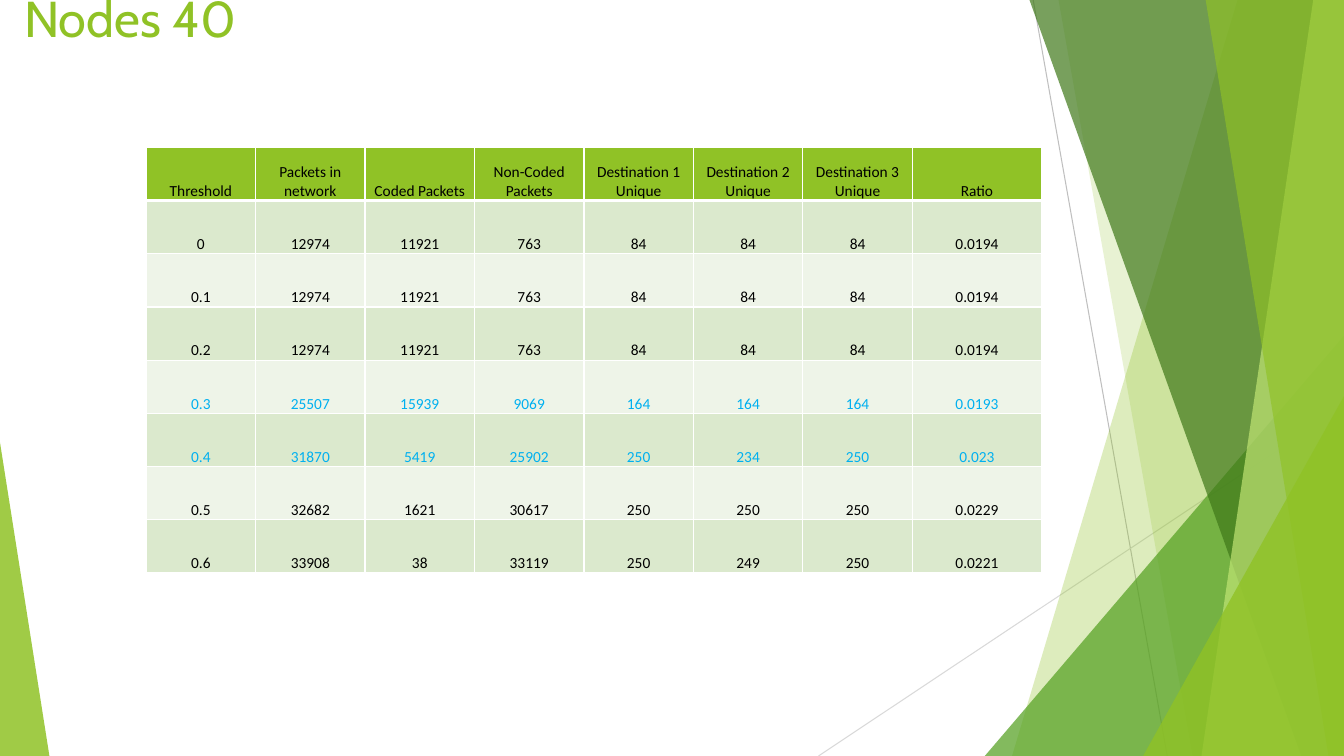
import pptx
import pptx.util
import pptx.dml.color
import pptx.enum.shapes
import pptx.enum.text
import pptx.oxml
import pptx.oxml.ns
import lxml.etree
from dataclasses import dataclass

Pt = pptx.util.Pt
qn = pptx.oxml.ns.qn

TITLE = "Nodes 40"
HEADERS = ["Threshold", "Packets in network", "Coded Packets", "Non-Coded Packets",
           "Destination 1 Unique", "Destination 2 Unique", "Destination 3 Unique", "Ratio"]
ROWS = [
    ["0", "12974", "11921", "763", "84", "84", "84", "0.0194"],
    ["0.1", "12974", "11921", "763", "84", "84", "84", "0.0194"],
    ["0.2", "12974", "11921", "763", "84", "84", "84", "0.0194"],
    ["0.3", "25507", "15939", "9069", "164", "164", "164", "0.0193"],
    ["0.4", "31870", "5419", "25902", "250", "234", "250", "0.023"],
    ["0.5", "32682", "1621", "30617", "250", "250", "250", "0.0229"],
    ["0.6", "33908", "38", "33119", "250", "249", "250", "0.0221"],
]
HIGHLIGHTED = {"0.3", "0.4"}


@dataclass(frozen=True)
class Theme:
    green: str = "90C226"
    mid_green: str = "54A021"
    dark_green: str = "3F7819"
    pale_green: str = "C0E474"
    band_dark: str = "DBE9CD"
    band_light: str = "EEF4E8"
    text: str = "000000"
    highlight: str = "00B0F0"
    white: str = "FFFFFF"
    line_dark: str = "BFBFBF"
    line_light: str = "D9D9D9"
    title_font: str = "Cabin"
    body_font: str = "Calibri"
    title_size: float = 36
    body_size: float = 11


T = Theme()
W, H = 960, 540
BLEED = -0.72

LINES = [(738, 0, 833.76, H, T.line_dark), (W, 290.16, 584.64, H, T.line_light)]
BACK_BANDS = [(884.16, 722.88, T.green, 30), (756, 851.76, T.green, 20)]
FRONT_BANDS = [(735.12, 929.52, T.dark_green, 70), (938.16, 858.24, T.pale_green, 70),
               (861.12, 948.96, T.green, 65)]
BACK_TRIANGLE = (703.44, 239.76, 256.56, 1, T.mid_green, 72)
FRONT_TRIANGLES = [(816.48, 282.96, 143.52, 1, T.green, 80),
                   (0, 316.08, 35.28, 0, T.green, 85)]
TABLE_LEFT, TABLE_TOP, COL_W, LAST_COL_W, ROW_H = 104.4, 105.3, 78.2, 92.4, 38


def rgb(color):
    return pptx.dml.color.RGBColor.from_string(color)


def write(tf, text, *, font, size, color, align=pptx.enum.text.PP_ALIGN.LEFT):
    p = tf.paragraphs[0]
    p.alignment = align
    r = p.add_run()
    r.text = text
    r.font.name = font
    r.font.size = Pt(size)
    r.font.color.rgb = rgb(color)


def paint(sp, color, opacity):
    sp.shadow.inherit = False
    sp.line.fill.background()
    sp.fill.solid()
    sp.fill.fore_color.rgb = rgb(color)
    clr = sp.fill._xPr.find(qn("a:solidFill"))[0]
    lxml.etree.SubElement(clr, qn("a:alpha"), val=str(opacity * 1000))


def add_line(s, x1, y1, x2, y2, color):
    line = s.shapes.add_connector(pptx.enum.shapes.MSO_CONNECTOR.STRAIGHT,
                                  Pt(x1), Pt(y1), Pt(x2), Pt(y2))
    line.line.color.rgb = rgb(color)
    line.line.width = Pt(0.75)
    lxml.etree.SubElement(line._element.spPr, qn("a:effectLst"))


def add_band(s, top_x, bottom_x, color, opacity):
    corners = [(W, BLEED), (W, H), (bottom_x, H)]
    fb = s.shapes.build_freeform(Pt(top_x), Pt(BLEED))
    fb.add_line_segments([(Pt(x), Pt(y)) for x, y in corners], close=True)
    paint(fb.convert_to_shape(), color, opacity)


def add_triangle(s, left, top, width, apex, color, opacity):
    sp = s.shapes.add_shape(pptx.enum.shapes.MSO_SHAPE.ISOSCELES_TRIANGLE,
                            Pt(left), Pt(top), Pt(width), Pt(H - top))
    sp.adjustments[0] = apex
    paint(sp, color, opacity)


def add_borders(cell, bottom_width):
    tcPr = cell._tc.get_or_add_tcPr()
    for side, width in (("L", 1), ("R", 1), ("T", 1), ("B", bottom_width)):
        ln = lxml.etree.SubElement(tcPr, qn(f"a:ln{side}"), w=str(Pt(width)))
        fill = lxml.etree.SubElement(ln, qn("a:solidFill"))
        lxml.etree.SubElement(fill, qn("a:srgbClr"), val=T.white)


def add_decoration(s):
    for line in LINES:
        add_line(s, *line)
    for band in BACK_BANDS:
        add_band(s, *band)
    add_triangle(s, *BACK_TRIANGLE)
    for band in FRONT_BANDS:
        add_band(s, *band)
    for triangle in FRONT_TRIANGLES:
        add_triangle(s, *triangle)


def add_title(s):
    title = s.shapes.title
    title.left, title.top, title.width, title.height = Pt(10), Pt(-13), Pt(828), Pt(104.4)
    s.shapes._spTree.append(title._element)
    tf = title.text_frame
    tf.vertical_anchor = pptx.enum.text.MSO_ANCHOR.TOP
    tf.auto_size = pptx.enum.text.MSO_AUTO_SIZE.NONE
    write(tf, TITLE, font=T.title_font, size=T.title_size, color=T.green)


def add_results(s):
    rows = [HEADERS] + ROWS
    widths = [COL_W] * (len(HEADERS) - 1) + [LAST_COL_W]
    table = s.shapes.add_table(len(rows), len(widths), Pt(TABLE_LEFT), Pt(TABLE_TOP),
                               Pt(sum(widths)), Pt(ROW_H * len(rows))).table
    for col, width in zip(table.columns, widths):
        col.width = Pt(width)
    for i, values in enumerate(rows):
        table.rows[i].height = Pt(ROW_H)
        band = T.green if i == 0 else T.band_dark if i % 2 else T.band_light
        color = T.highlight if values[0] in HIGHLIGHTED else T.text
        for j, value in enumerate(values):
            cell = table.cell(i, j)
            cell.margin_left = cell.margin_right = cell.margin_top = Pt(0.72)
            cell.margin_bottom = Pt(0)
            cell.vertical_anchor = pptx.enum.text.MSO_ANCHOR.BOTTOM
            add_borders(cell, 3 if i == 0 else 1)
            cell.fill.solid()
            cell.fill.fore_color.rgb = rgb(band)
            write(cell.text_frame, value, font=T.body_font, size=T.body_size,
                  color=color, align=pptx.enum.text.PP_ALIGN.CENTER)


def main():
    prs = pptx.Presentation()
    prs.slide_width, prs.slide_height = Pt(W), Pt(H)
    s = prs.slides.add_slide(prs.slide_layouts[5])
    add_decoration(s)
    add_title(s)
    add_results(s)
    prs.save("out.pptx")


if __name__ == "__main__":
    main()
